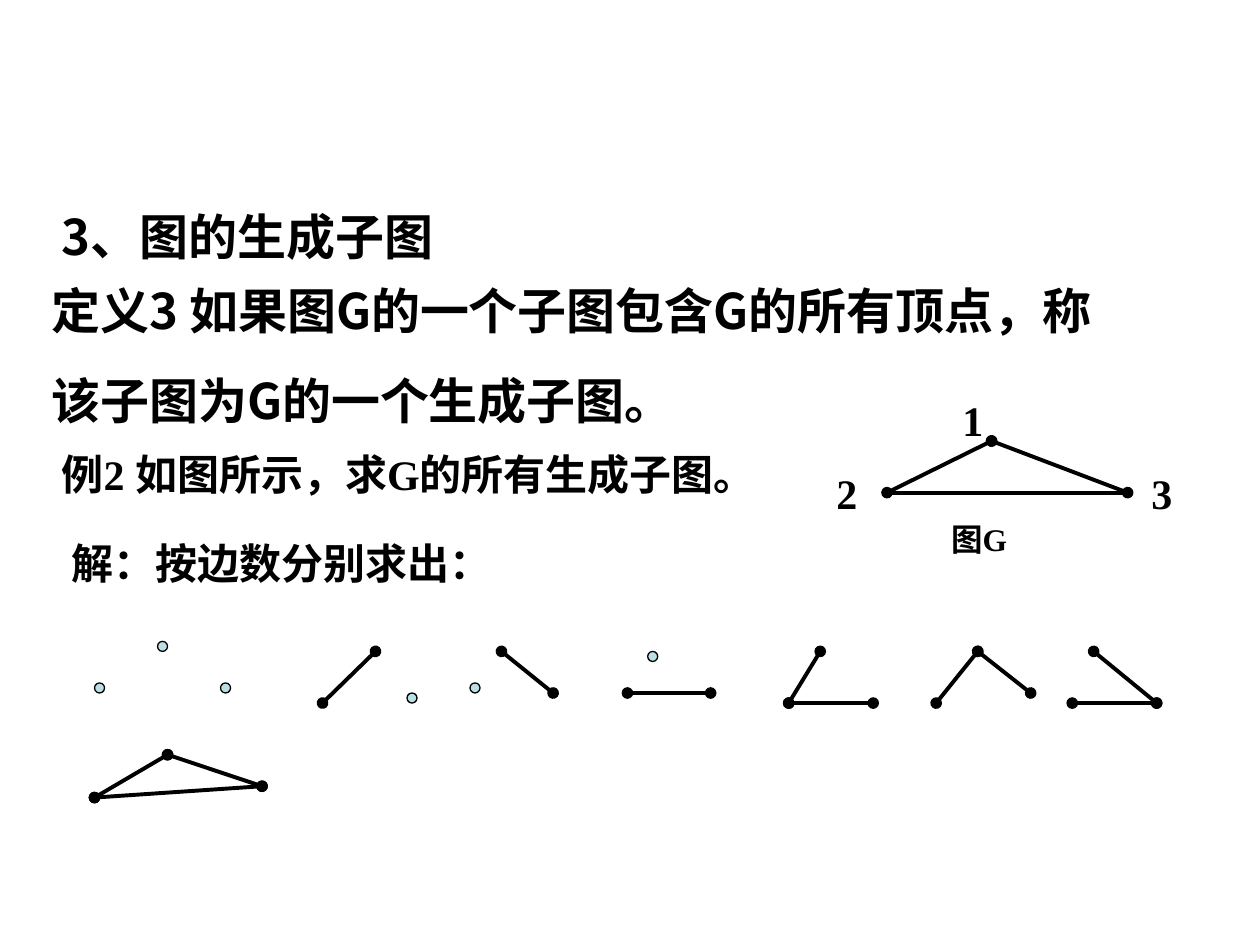
from lxml import etree
from pptx import Presentation
from pptx import util as u
from pptx.dml.color import RGBColor
from pptx.enum import shapes, text
from pptx.oxml import ns

BLACK = RGBColor(0x00, 0x00, 0x00)
PALE_BLUE = RGBColor(0xBB, 0xE0, 0xE3)
SANS = "Noto Sans CJK SC"
SERIF = "Times New Roman"


class GraphSlide:
    edge_width = u.Pt(2.24)
    outline_width = u.Pt(0.74)
    dot_size = 0.08

    def __init__(self, slide):
        self.slide = slide

    def text(self, left, top, width, height, lines, size, font=SERIF, before=0):
        box = self.slide.shapes.add_textbox(*map(u.Inches, (left, top, width, height)))
        frame = box.text_frame
        frame.word_wrap = True
        frame.auto_size = text.MSO_AUTO_SIZE.NONE
        for index, line in enumerate(lines):
            paragraph = frame.add_paragraph() if index else frame.paragraphs[0]
            paragraph.space_before = u.Pt(before)
            run = paragraph.add_run()
            run.text = line
            run.font.size = u.Pt(size)
            run.font.bold = True
            run.font.name = font
            run.font.color.rgb = BLACK
            east_asian = etree.SubElement(run._r.get_or_add_rPr(), ns.qn("a:ea"))
            east_asian.set("typeface", SANS)

    def edge(self, start, end, dots=True):
        points = map(u.Inches, (*start, *end))
        line = self.slide.shapes.add_connector(shapes.MSO_CONNECTOR.STRAIGHT, *points)
        line.line.width = self.edge_width
        line.line.color.rgb = BLACK
        if dots:
            for end_tag in ("a:headEnd", "a:tailEnd"):
                etree.SubElement(line.line._get_or_add_ln(), ns.qn(end_tag)).set("type", "oval")
        etree.SubElement(line._element.spPr, ns.qn("a:effectLst"))

    def isolated_vertex(self, left, top):
        size = u.Inches(self.dot_size)
        dot = self.slide.shapes.add_shape(
            shapes.MSO_SHAPE.OVAL, u.Inches(left), u.Inches(top), size, size)
        dot.shadow.inherit = False
        dot.fill.solid()
        dot.fill.fore_color.rgb = PALE_BLUE
        dot.line.color.rgb = BLACK
        dot.line.width = self.outline_width


presentation = Presentation()
presentation.slide_width = u.Inches(10)
presentation.slide_height = u.Inches(7.5)
page = GraphSlide(presentation.slides.add_slide(presentation.slide_layouts[6]))

# Definition, example and solution
page.text(0.39, 1.59, 9.08, 0.57, ["3、图的生成子图"], 28, SANS, 17.5)
page.text(0.31, 2.18, 9.08, 1.28,
          ["定义3 如果图G的一个子图包含G的所有顶点，称", "该子图为G的一个生成子图。"],
          28, SANS, 17.5)
page.text(0.39, 3.51, 9, 0.5, ["例2 如图所示，求G的所有生成子图。"], 24, before=15)
page.text(0.47, 4.22, 9, 0.5, ["解：按边数分别求出："], 24, before=15)

# Graph G with its labels
for label, left, top in (("1", 7.54, 3.08), ("2", 6.54, 3.66), ("3", 9.04, 3.66)):
    page.text(left, top, 0.43, 0.5, [label], 24)
page.text(7.45, 4.08, 0.92, 0.4, ["图G"], 18)
apex, left_corner, right_corner = (7.87, 3.5), (7.04, 3.91), (8.95, 3.91)
page.edge(apex, left_corner)
page.edge(apex, right_corner)
page.edge(left_corner, right_corner, dots=False)

# Isolated vertices: no edges, then one for each single edge
for position in ((1.25, 5.09), (0.75, 5.42), (1.75, 5.42),
                 (3.23, 5.5), (3.73, 5.42), (5.14, 5.17)):
    page.isolated_vertex(*position)

# Subgraphs with one, two and three edges, each drawn as a chain of vertices
TOP, MIDDLE, BOTTOM = 5.17, 5.5, 5.58
chains = (
    ((2.98, TOP), (2.56, BOTTOM)),
    ((3.98, TOP), (4.39, MIDDLE)),
    ((4.98, MIDDLE), (5.64, MIDDLE)),
    ((6.51, TOP), (6.26, BOTTOM), (6.93, BOTTOM)),
    ((7.43, BOTTOM), (7.76, TOP), (8.18, MIDDLE)),
    ((8.68, TOP), (9.18, BOTTOM), (8.51, BOTTOM)),
    ((1.33, 5.99), (2.08, 6.24), (0.75, 6.33), (1.33, 5.99)),
)
for chain in chains:
    for start, end in zip(chain, chain[1:]):
        page.edge(start, end)

presentation.save("out.pptx")
